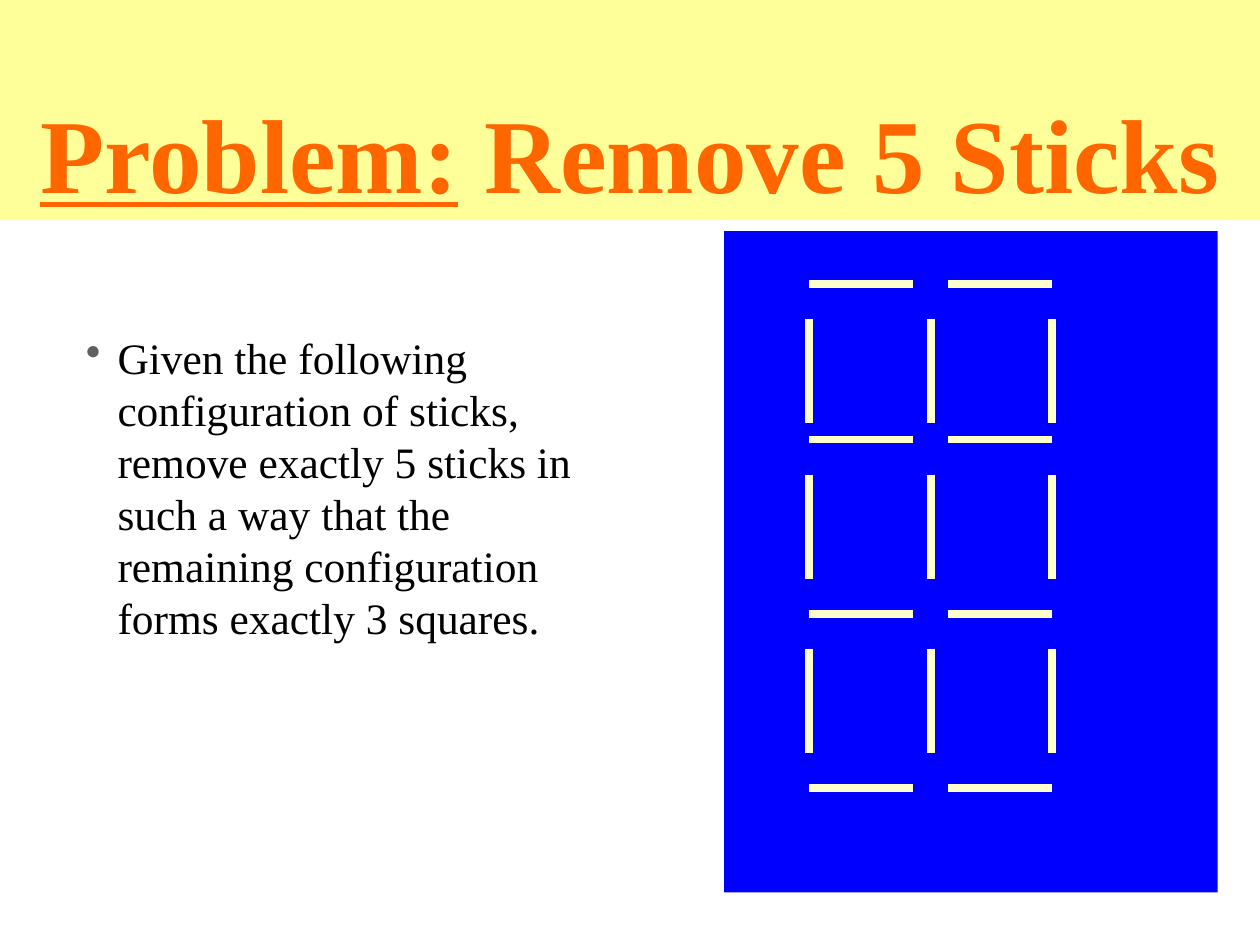
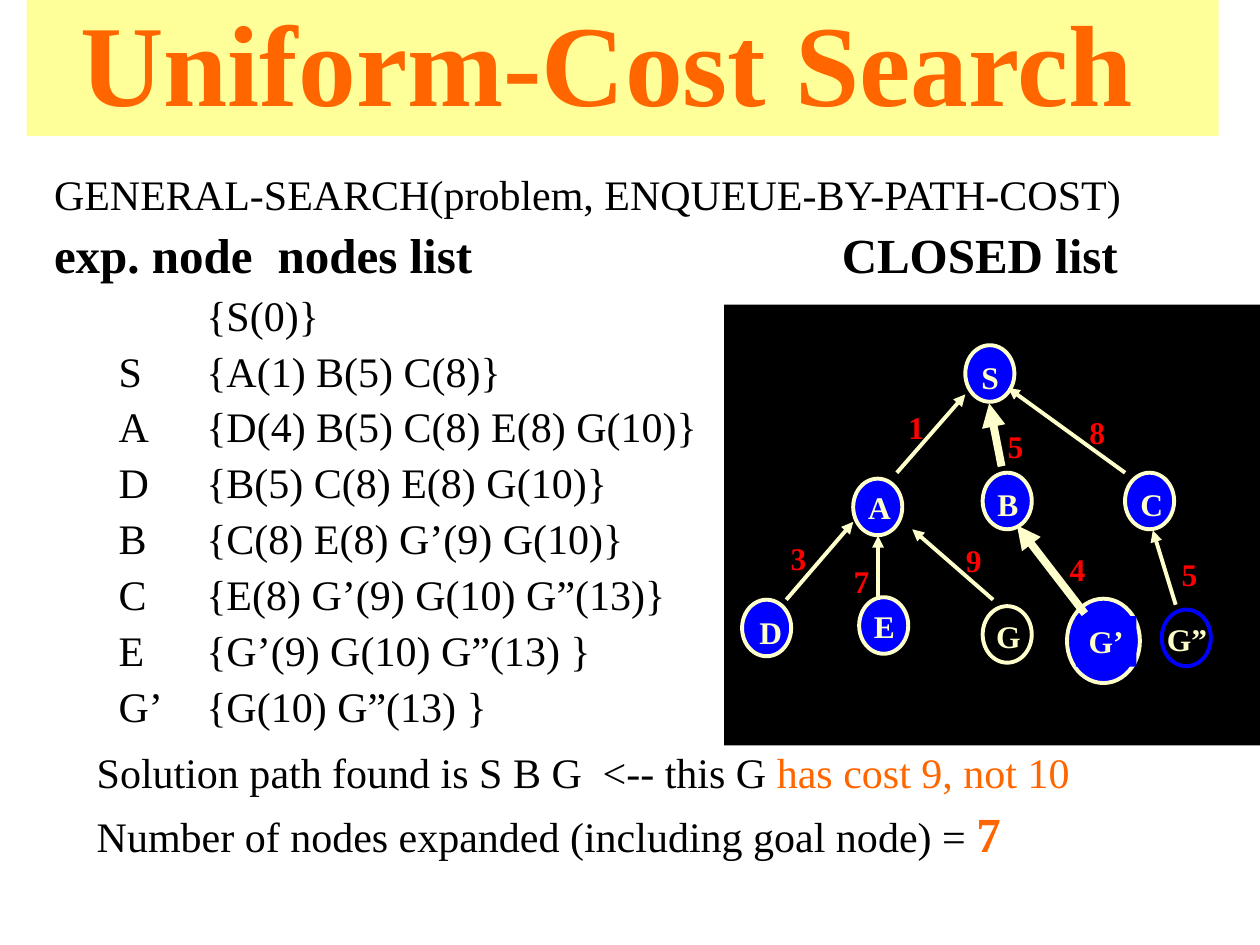
from dataclasses import dataclass
from typing import NamedTuple, Optional

from lxml.etree import SubElement
from pptx import Presentation
from pptx.dml.color import RGBColor
from pptx.enum.shapes import MSO_CONNECTOR, MSO_SHAPE
from pptx.enum.text import MSO_ANCHOR, PP_ALIGN
from pptx.oxml.ns import qn
from pptx.util import Cm, Pt


# Theme
@dataclass(frozen=True)
class Theme:
    font: str = "Times New Roman"
    band: str = "FFFF99"
    accent: str = "FF6600"
    text: str = "000000"
    blue: str = "0000FF"
    cream: str = "FFFFCC"
    cost: str = "FF0000"
    bullet: str = "5F5F5F"
    problem_title: float = 60
    search_title: float = 66
    problem_body: float = 24.8
    body: float = 24
    heading: float = 28
    label: float = 18
    thin: float = 2.25
    thick: float = 4.5


T = Theme()


class Box(NamedTuple):
    x: float
    y: float
    w: float
    h: float


class Span(NamedTuple):
    text: str
    size: float = T.body
    color: str = T.text
    bold: bool = False
    underline: Optional[bool] = None


class Line(NamedTuple):
    spans: list[Span]
    tabs: tuple[float, ...] = ()
    before: float = 6


class Node(NamedTuple):
    name: str
    x: float
    y: float
    label_x: float
    label_y: float
    fill: Optional[str] = T.blue
    line: str = T.cream
    w: float = 0.99
    h: float = 1.14
    label_fill: Optional[str] = None


class Edge(NamedTuple):
    parent: tuple[float, float]
    child: tuple[float, float]
    cost: str
    cost_at: tuple[float, float]
    weight: float = T.thin


# Drawing functions
def cm(values) -> list[Cm]:
    return [Cm(v) for v in values]


def add_spans(p, spans: list[Span]) -> None:
    p.text = spans[0].text
    for span in spans[1:]:
        p.add_run().text = span.text
    for r, span in zip(p.runs, spans):
        r.font.name = T.font
        r.font.size = Pt(span.size)
        r.font.bold = span.bold
        r.font.underline = span.underline
        r.font.color.rgb = RGBColor.from_string(span.color)


def add_block(s, kind, box: Box, fill: Optional[str] = None, line: Optional[str] = None):
    sp = s.shapes.add_shape(kind, *cm(box))
    sp.shadow.inherit = False
    if fill:
        sp.fill.solid()
        sp.fill.fore_color.rgb = RGBColor.from_string(fill)
    else:
        sp.fill.background()
    if line:
        sp.line.color.rgb = RGBColor.from_string(line)
        sp.line.width = Pt(T.thin)
    else:
        sp.line.fill.background()
    return sp


def add_title(s, box: Box, spans: list[Span], right: float = 0.25) -> None:
    tf = add_block(s, MSO_SHAPE.RECTANGLE, box, T.band).text_frame
    tf.word_wrap = True
    tf.vertical_anchor = MSO_ANCHOR.BOTTOM
    tf.margin_right = Cm(right)
    p = tf.paragraphs[0]
    p.alignment = PP_ALIGN.CENTER
    add_spans(p, spans)


def add_body(s, box: Box):
    tf = s.shapes.add_textbox(*cm(box)).text_frame
    tf.word_wrap = True
    return tf


def add_label(s, x: float, y: float, text: str, color: str, fill: Optional[str] = None) -> None:
    w, h = 1.22, 1.02
    sp = s.shapes.add_textbox(*cm((x - w / 2, y - h / 2, w, h)))
    if fill:
        sp.fill.solid()
        sp.fill.fore_color.rgb = RGBColor.from_string(fill)
    tf = sp.text_frame
    tf.word_wrap = False
    tf.margin_left = tf.margin_right = Cm(0)
    tf.vertical_anchor = MSO_ANCHOR.MIDDLE
    p = tf.paragraphs[0]
    p.alignment = PP_ALIGN.CENTER
    add_spans(p, [Span(text, T.label, color, True)])


def add_line(s, start: tuple[float, float], end: tuple[float, float],
             weight: float, arrow: bool = False) -> None:
    c = s.shapes.add_connector(MSO_CONNECTOR.STRAIGHT, *cm(start + end))
    c.line.color.rgb = RGBColor.from_string(T.cream)
    c.line.width = Pt(weight)
    pr = c.element.spPr
    if arrow:
        SubElement(pr.find(qn("a:ln")), qn("a:headEnd"), type="triangle")
    SubElement(pr, qn("a:effectLst"))


def add_bullet(p, indent: float) -> None:
    pr = p._p.get_or_add_pPr()
    pr.set("marL", str(Cm(indent)))
    pr.set("indent", str(-Cm(indent)))
    SubElement(SubElement(pr, qn("a:buClr")), qn("a:srgbClr"), val=T.bullet)
    SubElement(pr, qn("a:buChar"), char="•")


def add_tabs(p, stops: tuple[float, ...]) -> None:
    tabs = SubElement(p._p.get_or_add_pPr(), qn("a:tabLst"))
    for stop in stops:
        SubElement(tabs, qn("a:tab"), pos=str(Cm(stop)), algn="l")


# Slide 1: stick puzzle
STICK = 2.1
ROWS = (5.72, 8.86, 12.37, 15.88)
LEFT, COLUMN_STEP = 16.31, 2.45
TOP_STICKS = (LEFT, LEFT + 2 * COLUMN_STEP - STICK)
STICK_GAP = 0.71


def build_sticks(prs) -> None:
    s = prs.slides.add_slide(prs.slide_layouts[6])
    add_block(s, MSO_SHAPE.RECTANGLE, Box(14.6, 4.66, 9.95, 13.33), T.blue)
    add_title(s, Box(0, 0, 25.4, 4.44), [
        Span("Problem:", T.problem_title, T.accent, True, True),
        Span(" Remove 5 Sticks", T.problem_title, T.accent, True)])

    p = add_body(s, Box(1.48, 6.55, 10.36, 8.26)).paragraphs[0]
    add_bullet(p, 0.64)
    add_spans(p, [Span(
        "Given the following configuration of sticks, remove exactly 5 sticks in such "
        "a way that the remaining configuration forms exactly 3 squares.", T.problem_body)])

    for y in ROWS:
        for x in TOP_STICKS:
            add_line(s, (x, y), (x + STICK, y), T.thick)
    for y in ROWS[:-1]:
        for i in range(3):
            x, top = LEFT + i * COLUMN_STEP, y + STICK_GAP
            add_line(s, (x, top), (x, top + STICK), T.thick)


# Slide 2: search trace and tree
TRACE = [
    ("", "{S(0)}"),
    ("S", "{A(1) B(5) C(8)}"),
    ("A", "{D(4) B(5) C(8) E(8) G(10)}"),
    ("D", "{B(5) C(8) E(8) G(10)}"),
    ("B", "{C(8) E(8) G’(9) G(10)}"),
    ("C", "{E(8) G’(9) G(10) G”(13)}"),
    ("E", "{G’(9) G(10) G”(13) }"),
    ("G’", "{G(10) G”(13) }"),
]
TRACE_TABS = (1.3, 3.07)
RESULT_TABS = (0.86, 11.06)
LINES = [
    Line([Span("GENERAL-SEARCH(problem, ENQUEUE-BY-PATH-COST)")], before=0),
    Line([Span("exp. node\tnodes list\tCLOSED list", T.heading, bold=True)], (4.51, 15.88), 7),
    *(Line([Span(f"\t{node}\t{queue}")], TRACE_TABS) for node, queue in TRACE),
    Line([Span("\tSolution path found is S B G\t<-- this G "),
          Span("has cost 9, not 10", color=T.accent)], RESULT_TABS, 12),
    Line([Span("\tNumber of nodes expanded (including goal node) = "),
          Span("7", T.heading, T.accent, True)], RESULT_TABS, 7),
]
NODES = [
    Node("S", 19.46, 6.96, 19.96, 7.59),
    Node("C", 22.68, 9.53, 23.22, 10.16),
    Node("B", 19.81, 9.53, 20.32, 10.16),
    Node("A", 17.2, 9.65, 17.73, 10.21),
    Node("D", 14.96, 12.09, 15.54, 12.73),
    Node("E", 17.32, 12.04, 17.83, 12.62),
    Node("G", 19.81, 12.22, 20.33, 12.83, fill=None),
    Node("G’", 21.51, 12.07, 22.3, 12.93, w=1.47, h=1.7, label_fill=T.blue),
    Node("G”", 23.42, 12.29, 23.93, 12.88, fill=None, line=T.blue),
]
EDGES = [
    Edge((19.46, 7.95), (18.08, 9.53), "1", (18.47, 8.61)),
    Edge((19.94, 8.13), (20.19, 9.4), "5", (20.47, 8.99), T.thick),
    Edge((20.32, 7.82), (22.68, 9.53), "8", (22.12, 8.71)),
    Edge((17.2, 10.52), (15.85, 12.09), "3", (16.1, 11.25)),
    Edge((17.7, 10.8), (17.7, 12.09), "7", (17.37, 11.71)),
    Edge((18.39, 10.67), (20.02, 12.09), "9", (19.63, 11.28)),
    Edge((20.5, 10.59), (21.87, 12.37), "4", (21.72, 11.46), T.thick),
    Edge((23.24, 10.69), (23.7, 12.19), "5", (23.98, 11.58)),
]


def build_search(prs) -> None:
    s = prs.slides.add_slide(prs.slide_layouts[6])
    add_block(s, MSO_SHAPE.RECTANGLE, Box(14.6, 6.14, 10.8, 8.89), T.text)
    add_title(s, Box(0.54, 0, 24.03, 2.74),
              [Span("Uniform-Cost Search", T.search_title, T.accent, True)], right=0.89)

    tf = add_body(s, Box(0.84, 3.38, 23.72, 14.81))
    for i, line in enumerate(LINES):
        p = tf.add_paragraph() if i else tf.paragraphs[0]
        p.line_spacing = 0.9
        p.space_before = Pt(line.before)
        if line.tabs:
            add_tabs(p, line.tabs)
        add_spans(p, line.spans)

    for n in NODES:
        add_block(s, MSO_SHAPE.OVAL, Box(n.x, n.y, n.w, n.h), n.fill, n.line)
        add_label(s, n.label_x, n.label_y, n.name, T.cream, n.label_fill)
    for e in EDGES:
        add_line(s, e.parent, e.child, e.weight, arrow=True)
        add_label(s, *e.cost_at, e.cost, T.cost)


def main() -> None:
    prs = Presentation()
    prs.slide_width, prs.slide_height = Cm(25.4), Cm(19.05)
    build_sticks(prs)
    build_search(prs)
    prs.save("out.pptx")


if __name__ == "__main__":
    main()
